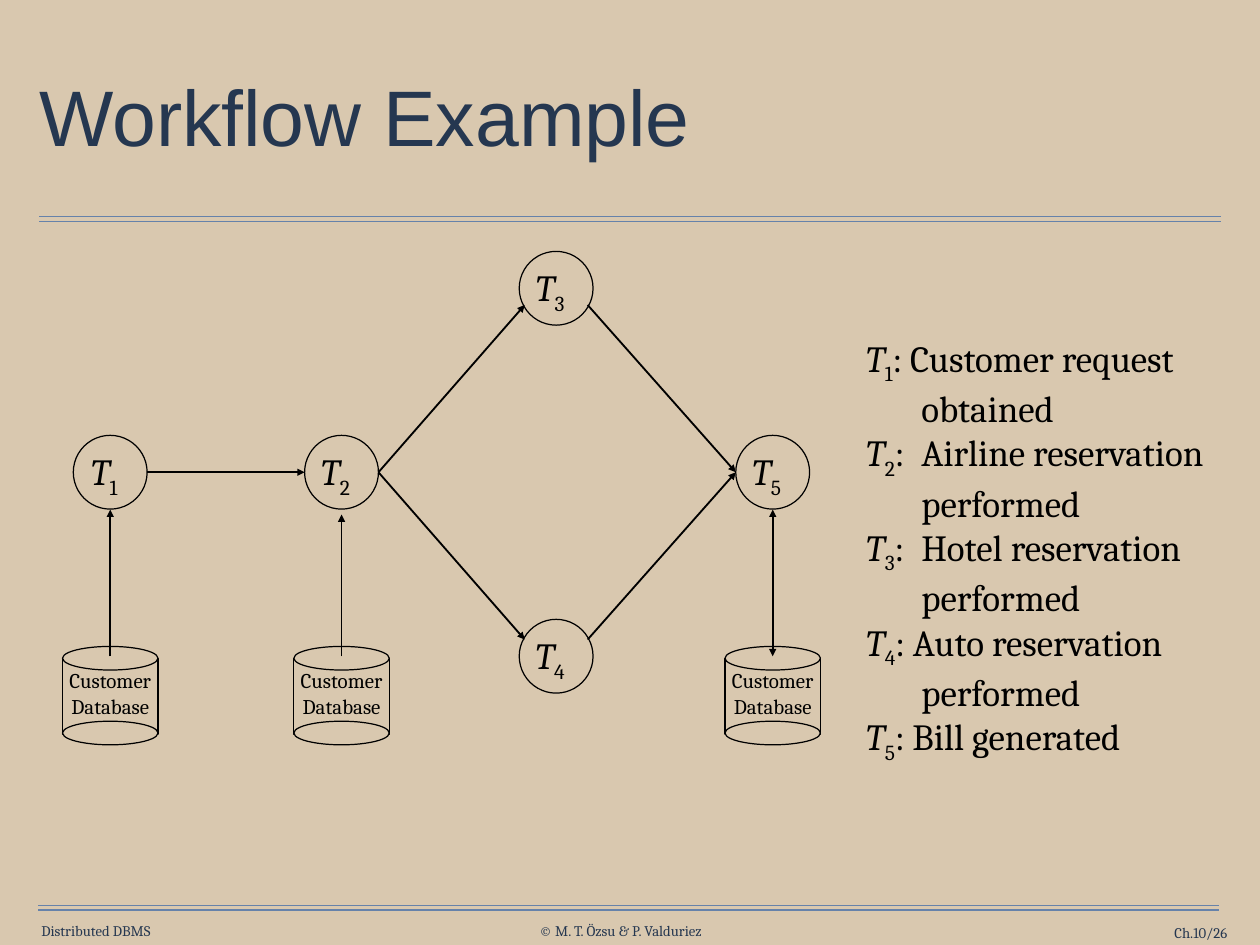
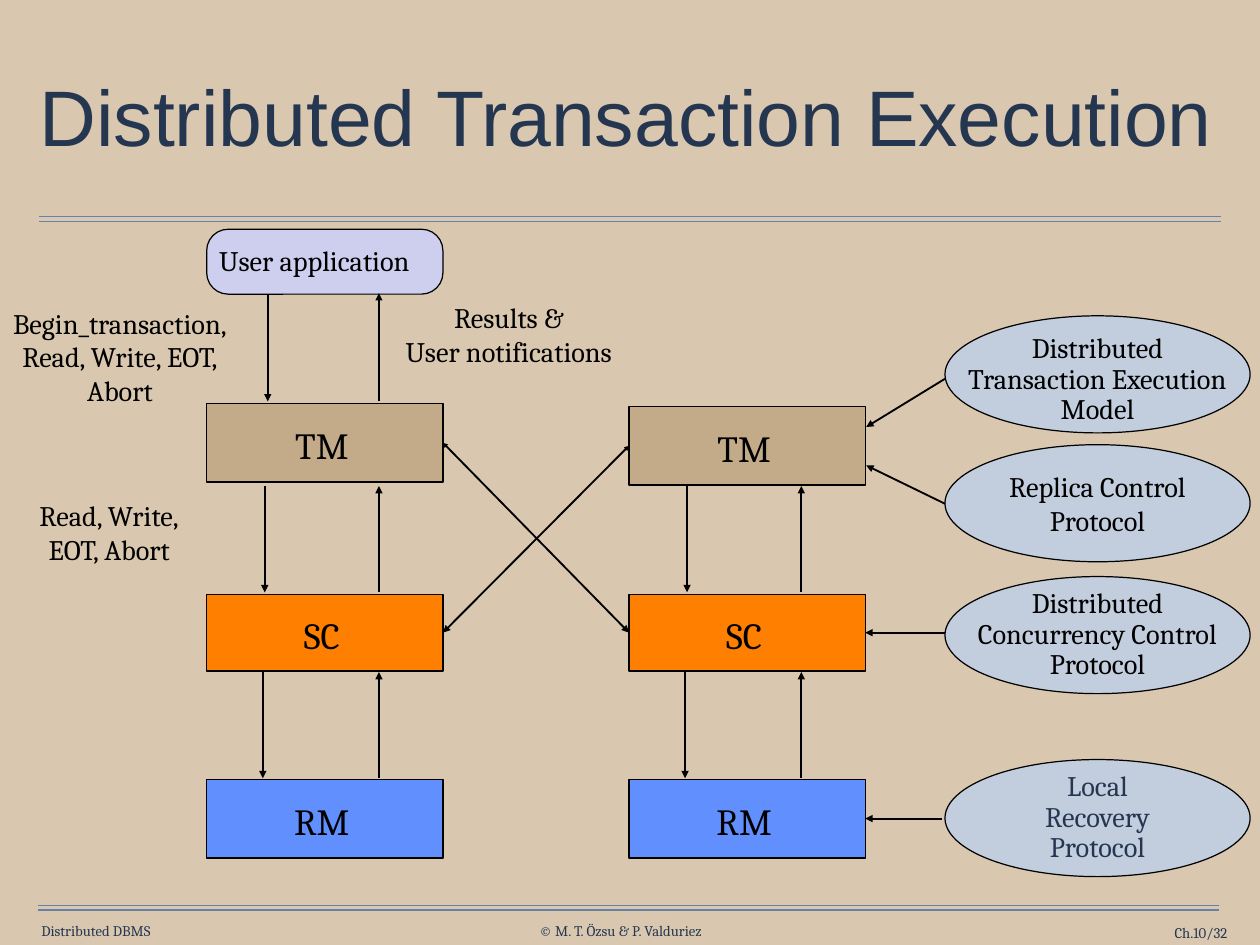
"""Build two lecture slides on workflows and distributed transactions."""
import pptx
import pptx.util
import pptx.dml.color
import pptx.enum.shapes
import pptx.enum.text
import pptx.oxml.ns
import lxml.etree

WIDE, HIGH = 14.22, 10.67
CELL = WIDE / 128
INK = {"sand": "D9C8AF", "rule": "6682AA", "navy": "253750", "black": "000000",
       "lilac": "CECEEF", "tan": "C3AB8A", "orange": "FF8000", "blue": "618FFD",
       "mist": "C2CDDD"}
SERIF, SANS = "Cambria", "Arial"
FORM = pptx.enum.shapes.MSO_SHAPE
ALIGN = pptx.enum.text.PP_ALIGN
MID = pptx.enum.text.MSO_ANCHOR.MIDDLE
TOP = pptx.enum.text.MSO_ANCHOR.TOP


def cells(*counts):
    """Turn counts of grid cells into lengths."""
    return [pptx.util.Inches(n * CELL) for n in counts]


def paint(name):
    """Look up a colour by name."""
    return pptx.dml.color.RGBColor.from_string(INK[name])


def write(frame, lines, size, ink="black", font=SERIF, align=ALIGN.CENTER,
          space=None, pad=(0, 0, 0, 0), wrap=False, anchor=MID):
    """Fill a text frame, one paragraph a line and one run a part."""
    frame.word_wrap = wrap
    frame.auto_size = pptx.enum.text.MSO_AUTO_SIZE.NONE
    frame.vertical_anchor = anchor
    (frame.margin_left, frame.margin_top,
     frame.margin_right, frame.margin_bottom) = cells(*pad)
    for n, line in enumerate(lines):
        para = frame.add_paragraph() if n else frame.paragraphs[0]
        para.alignment = align
        if space:
            para.line_spacing = space
        for text, style in [(line, "")] if isinstance(line, str) else line:
            run = para.add_run()
            run.text = text
            run.font.size = pptx.util.Pt(size)
            run.font.name = font
            run.font.color.rgb = paint(ink)
            if style == "italic":
                run.font.italic = True
            if style == "sub":
                run._r.get_or_add_rPr().set("baseline", "-25000")


def label(slide, area, lines, size, **style):
    """Add a plain text box."""
    box = slide.shapes.add_textbox(*cells(*area))
    write(box.text_frame, lines, size, **style)
    return box


def block(slide, form, area, fill=None, lines=(), size=23, **style):
    """Add an outlined shape with text inside."""
    shape = slide.shapes.add_shape(form, *cells(*area))
    shape.shadow.inherit = False
    if fill:
        shape.fill.solid()
        shape.fill.fore_color.rgb = paint(fill)
    else:
        shape.fill.background()
    shape.line.color.rgb = paint("black")
    shape.line.width = pptx.util.Pt(1)
    write(shape.text_frame, lines, size, **style)
    return shape


def draw(slide, start, end, ink="black", width=1.5, head=None, tail="med"):
    """Draw a line whose ends are points or (shape, side) pairs."""
    spots = [(0, 0) if hasattr(p[0], "shape_id") else p for p in (start, end)]
    line = slide.shapes.add_connector(pptx.enum.shapes.MSO_CONNECTOR.STRAIGHT,
                                      *cells(*spots[0], *spots[1]))
    if hasattr(start[0], "shape_id"):
        line.begin_connect(*start)
    if hasattr(end[0], "shape_id"):
        line.end_connect(*end)
    line.line.color.rgb = paint(ink)
    line.line.width = pptx.util.Pt(width)
    name = pptx.oxml.ns.qn
    for tag, size in (("a:headEnd", head), ("a:tailEnd", tail)):
        if size:
            lxml.etree.SubElement(line.line._get_or_add_ln(), name(tag),
                                  type="triangle", w=size, len=size)
    lxml.etree.SubElement(line._element.spPr, name("a:effectLst"))


def page(deck, title, number):
    """Add a slide with its title, rules and footer."""
    slide = deck.slides.add_slide(deck.slide_layouts[5])
    head = slide.shapes.title
    head.left, head.top, head.width, head.height = cells(3.5, 4.4, 121, 15.8)
    write(head.text_frame, [title], 64, "navy", SANS, ALIGN.LEFT, 0.9,
          pad=(0.5,) * 4, wrap=True)
    for left, right, top in ((4, 124, 22), (3.9, 123.8, 92)):
        for y in (top, top + 0.5):
            draw(slide, (left, y), (right, y), "rule", 1, tail=None)
    for x, y, wide, text, align in (
            (4.2, 93.7, 12.4, "Distributed DBMS", ALIGN.LEFT),
            (54.8, 93.7, 18.7, "© M. T. Özsu & P. Valduriez", ALIGN.LEFT),
            (110.8, 93.9, 13.9, f"Ch.10/{number}", ALIGN.RIGHT)):
        label(slide, (x, y, wide, 1.8), [text], 12, ink="navy", align=align)
    return slide


def task(number):
    """Give the runs of a task name."""
    return [("T", "italic"), (str(number), "sub")]


def store(slide, x):
    """Draw a database drum centred on x."""
    left, wide = x - 4.85, 9.7
    block(slide, FORM.RECTANGLE, (left, 66.9, wide, 7.7), "sand",
          ["Customer", "Database"], 17, pad=(0, 0, 0, 0.6))
    for y in (65.7, 73.3):
        block(slide, FORM.OVAL, (left, y, wide, 2.4), "sand")


def workflow(deck):
    """Build the workflow slide."""
    slide = page(deck, "Workflow Example", 26)
    first, second, fork, last = 11.2, 34.7, 56.5, 78.5
    mid, rise, rad = 48, 18.7, 3.75
    spots = ((first, mid), (second, mid), (fork, mid - rise),
             (fork, mid + rise), (last, mid))
    for n, (x, y) in enumerate(spots, 1):
        block(slide, FORM.OVAL, (x - rad, y - rad, 2 * rad, 2 * rad), None,
              [task(n)], 30, pad=(0, 0.4, 1.2, 0))
    draw(slide, (first + rad, mid), (second - rad, mid))
    for y in (mid - 17, mid + 17):
        draw(slide, (second + rad, mid), (fork - 3.2, y))
        draw(slide, (fork + 3.2, y), (last - rad, mid))
    for x, tip, head in ((first, 51.8, None), (second, 52.3, None),
                         (last, 51.8, "med")):
        store(slide, x)
        draw(slide, (x, 66.7), (x, tip), head=head)
    steps = (": Customer request obtained", ":\tAirline reservation performed",
             ":\tHotel reservation performed", ": Auto reservation performed",
             ": Bill generated")
    notes = label(slide, (86.7, 33.5, 40.4, 42.2),
                  [task(n) + [(step, "")] for n, step in enumerate(steps, 1)],
                  30, align=ALIGN.LEFT, pad=(1.3, 0.6, 1.3, 0.6), wrap=True,
                  anchor=TOP)
    hang = cells(5.6)[0]
    for para in notes.text_frame.paragraphs:
        props = para._p.get_or_add_pPr()
        props.set("marL", str(hang))
        props.set("indent", str(-hang))


def stack(slide, left, top):
    """Draw a column of managers and the arrows between them."""
    made = [block(slide, FORM.RECTANGLE, (left, y, 24, high), fill, [text], 30,
                  pad=(0, 0.5, 0.6, 0))
            for text, y, high, fill in (("TM", top, 8, "tan"),
                                        ("SC", 60.4, 7.8, "orange"),
                                        ("RM", 79.2, 8, "blue"))]
    for y, low, shift in ((49.4, 60.2, 5.9), (68.3, 79.1, 5.7)):
        draw(slide, (left + shift, y), (left + shift, low))
        draw(slide, (left + 17.5, low), (left + 17.5, y))
    return made


def execution(deck):
    """Build the transaction slide."""
    slide = page(deck, "Distributed Transaction Execution", 32)
    user = block(slide, FORM.ROUNDED_RECTANGLE, (21, 23.3, 24, 6.6), "lilac",
                 ["User application"], pad=(0, 0, 2.1, 0.3))
    user.adjustments[0] = 0.33
    for x, y, wide, high, lines in (
            (0.2, 30.4, 24, 11.7,
             ["Begin_transaction,", "Read, Write, EOT,", "Abort"]),
            (39.7, 29.9, 24, 8.2, ["Results &", "User notifications"]),
            (1.6, 49.9, 19, 8.3, ["Read, Write,", "EOT, Abort"])):
        label(slide, (x, y, wide, high), lines, 23)
    near = stack(slide, 21, 41)
    far = stack(slide, 63.9, 41.3)
    draw(slide, (27.2, 30), (27.2, 40.8))
    draw(slide, (38.5, 40.8), (38.5, 29.8))
    draw(slide, (near[0], 3), (far[1], 1), head="sm")
    draw(slide, (far[0], 1), (near[1], 3), head="sm")
    for y, lines, ink, space, drop, start, end in (
            (32.1, ["Distributed", "Transaction Execution", "Model"],
             "black", 0.9, 1.2, (96, 38.5), (88, 43.4)),
            (45.2, ["Replica Control", "Protocol"],
             "black", None, 0, (96, 51.2), (88, 47.3)),
            (58.6, ["Distributed", "Concurrency Control", "Protocol"],
             "black", 0.9, 0, (96, 64.3), (far[1], 3)),
            (77.2, ["Local", "Recovery", "Protocol"],
             "navy", 0.9, 0, (95.7, 83.2), (far[2], 3))):
        block(slide, FORM.OVAL, (96, y, 31, 11.9), "mist", lines, ink=ink,
              space=space, pad=(0, drop, 0, 0))
        draw(slide, start, end)


def main():
    """Build the deck and save it."""
    deck = pptx.Presentation()
    deck.slide_width = pptx.util.Inches(WIDE)
    deck.slide_height = pptx.util.Inches(HIGH)
    ground = deck.slide_master.background.fill
    ground.solid()
    ground.fore_color.rgb = paint("sand")
    workflow(deck)
    execution(deck)
    deck.save("out.pptx")


if __name__ == "__main__":
    main()
